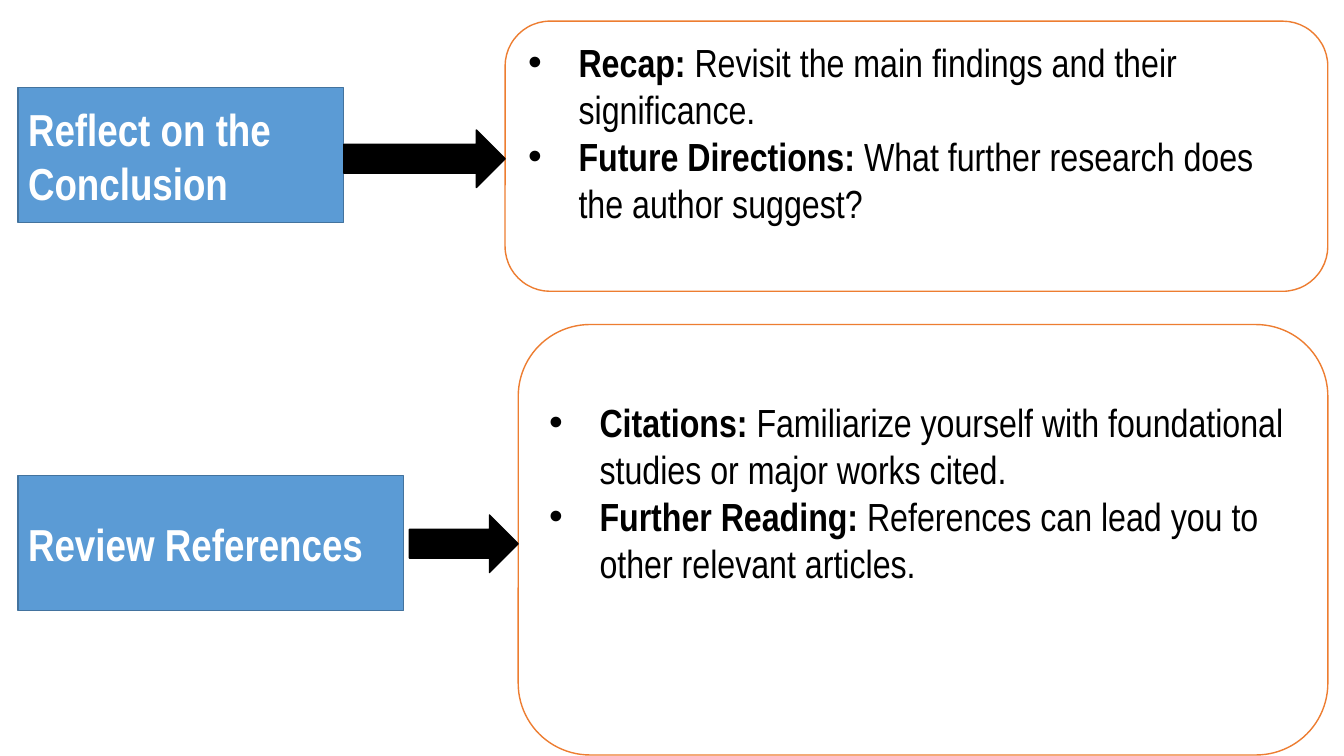
from dataclasses import dataclass

from lxml import etree
from pptx import Presentation
from pptx.dml.color import RGBColor
from pptx.enum.shapes import MSO_SHAPE
from pptx.enum.text import MSO_ANCHOR, PP_ALIGN
from pptx.oxml.ns import qn
from pptx.util import Inches, Pt

RECT, ARROW, CARD = MSO_SHAPE.RECTANGLE, MSO_SHAPE.RIGHT_ARROW, MSO_SHAPE.ROUNDED_RECTANGLE
MIDDLE, LEFT = MSO_ANCHOR.MIDDLE, PP_ALIGN.LEFT


@dataclass(frozen=True)
class Theme:
    font: str = "Arial Narrow"
    label_size: int = 32
    body_size: int = 28
    white: str = "FFFFFF"
    black: str = "000000"
    blue: str = "5B9BD5"
    blue_edge: str = "43739E"
    orange: str = "ED7D31"


STEPS = [
    {
        "label": "Reflect on the Conclusion",
        "points": [
            ("Recap: ", "Revisit the main findings and their significance."),
            ("Future Directions: ", "What further research does the author suggest?"),
        ],
        "label_top": 0.87, "label_width": 3.23, "arrow_gap": 0, "arrow_middle": 1.575,
        "card_left": 5.01, "card_top": 0.21, "card_height": 2.68, "lines_below": 1,
    },
    {
        "label": "Review References",
        "points": [
            ("Citations: ", "Familiarize yourself with foundational studies or major works cited."),
            ("Further Reading: ", "References can lead you to other relevant articles."),
        ],
        "label_top": 4.72, "label_width": 3.82, "arrow_gap": 0.06, "arrow_middle": 5.395,
        "card_left": 5.14, "card_top": 3.22, "card_height": 4.27, "lines_below": 2,
    },
]

T = Theme()
SLIDE_W, SLIDE_H = 13.33, 7.5
LABEL_LEFT, LABEL_H, ARROW_H = 0.18, 1.34, 0.57
CARD_RIGHT = SLIDE_W - 0.16
INSET, INDENT, LINE_H = 0.05, 0.5, 0.47


def add_box(s, kind, left, top, width, height, fill, edge):
    sp = s.shapes.add_shape(kind, *(Inches(v) for v in (left, top, width, height)))
    sp.shadow.inherit = False
    sp.fill.solid()
    sp.fill.fore_color.rgb = RGBColor.from_string(fill)
    sp.line.color.rgb = RGBColor.from_string(edge)
    sp.line.width = Pt(1)
    sp.text_frame.word_wrap = True
    sp.text_frame.vertical_anchor = MIDDLE
    return sp


def style(r, size, color, bold):
    r.font.name = T.font
    r.font.size = Pt(size)
    r.font.bold = bold
    r.font.color.rgb = RGBColor.from_string(color)


def add_bullet(p):
    pPr = p._p.get_or_add_pPr()
    pPr.set("marL", str(Inches(INDENT)))
    pPr.set("indent", str(-Inches(INDENT)))
    etree.SubElement(pPr, qn("a:buFont")).set("typeface", "Arial")
    etree.SubElement(pPr, qn("a:buChar")).set("char", "•")


def add_label(s, step):
    sp = add_box(s, RECT, LABEL_LEFT, step["label_top"], step["label_width"], LABEL_H,
                 T.blue, T.blue_edge)
    sp.text_frame.text = step["label"]
    p = sp.text_frame.paragraphs[0]
    p.alignment = LEFT
    style(p.runs[0], T.label_size, T.white, True)


def add_arrow(s, step):
    left = LABEL_LEFT + step["label_width"] + step["arrow_gap"]
    add_box(s, ARROW, left, step["arrow_middle"] - ARROW_H / 2,
            step["card_left"] - left, ARROW_H, T.black, T.black)


def add_card(s, step):
    left = step["card_left"]
    sp = add_box(s, CARD, left, step["card_top"], CARD_RIGHT - left, step["card_height"],
                 T.white, T.orange)
    tf = sp.text_frame
    tf.margin_bottom = Inches(INSET + step["lines_below"] * LINE_H)
    for i, point in enumerate(step["points"]):
        p = tf.add_paragraph() if i else tf.paragraphs[0]
        p.alignment = LEFT
        add_bullet(p)
        for text, bold in zip(point, (True, False)):
            r = p.add_run()
            r.text = text
            style(r, T.body_size, T.black, bold)


def main():
    prs = Presentation()
    prs.slide_width, prs.slide_height = Inches(SLIDE_W), Inches(SLIDE_H)
    s = prs.slides.add_slide(prs.slide_layouts[6])
    for step in STEPS:
        add_label(s, step)
        add_card(s, step)
        add_arrow(s, step)
    prs.save("out.pptx")


if __name__ == "__main__":
    main()
